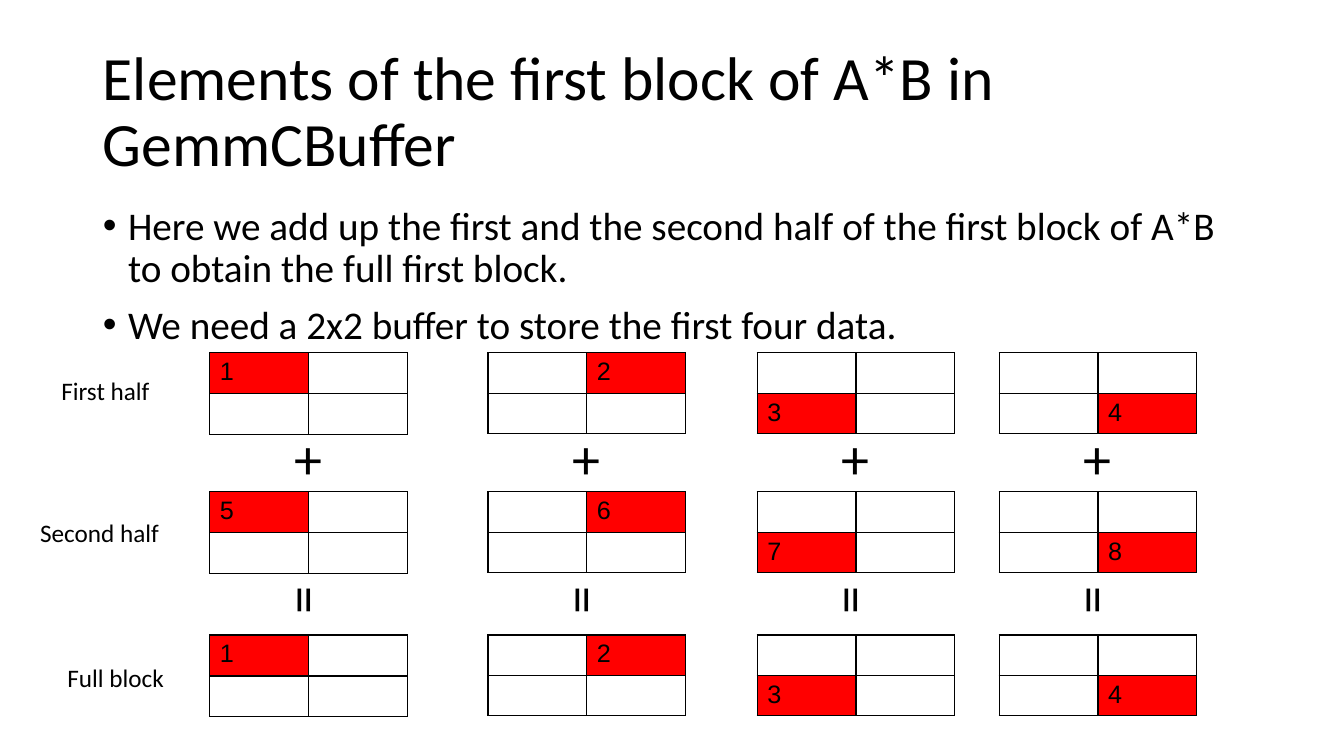
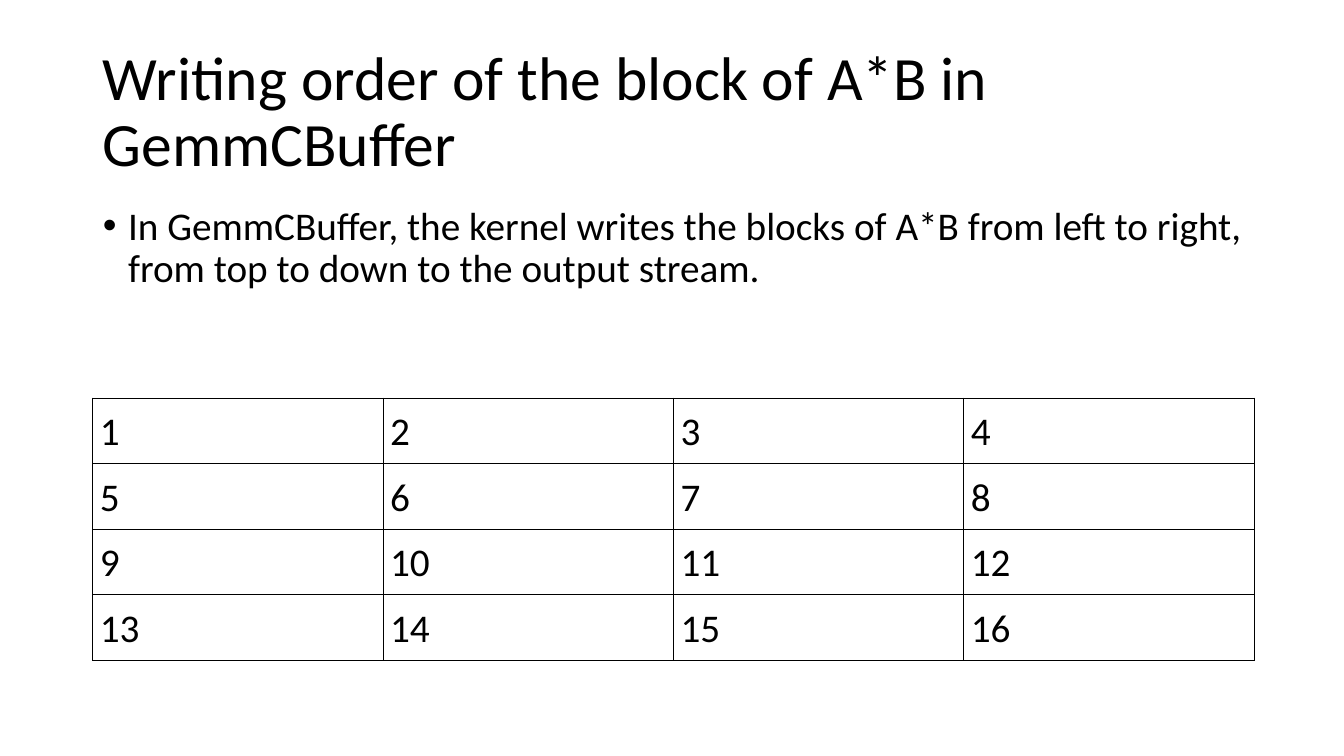
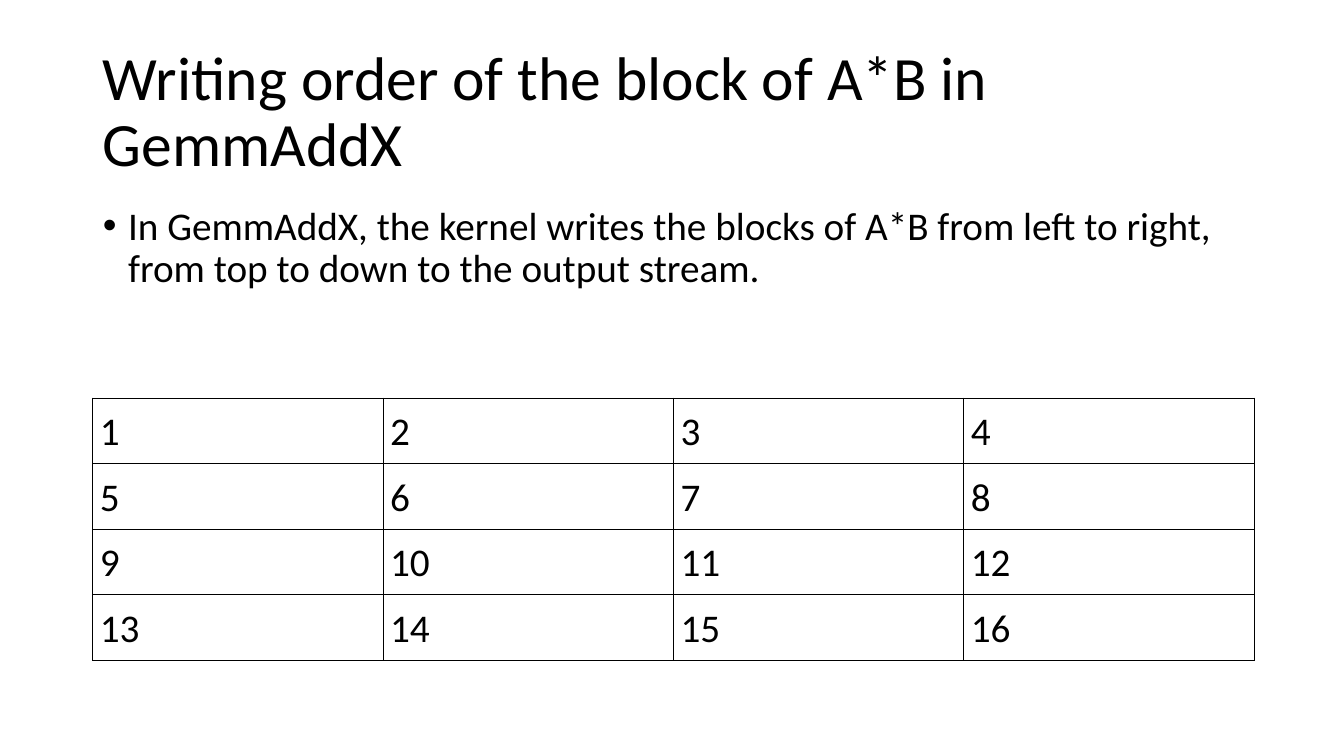
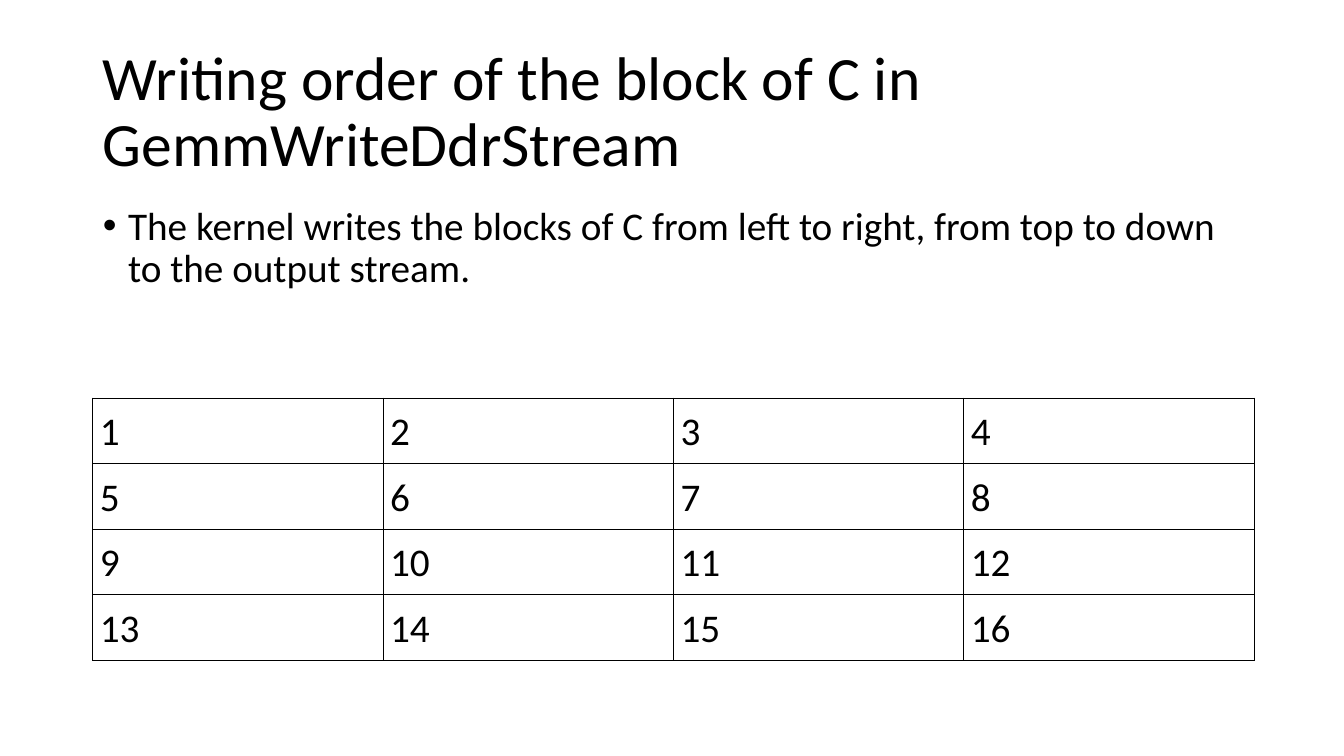
"""Builds four slides on how matrix blocks are buffered and written."""
from lxml import etree
from pptx import Presentation
from pptx.dml import color
from pptx.enum import text
from pptx.oxml import ns
from pptx.util import Inches, Pt

BLACK, RED = "000000", "FF0000"
BODY_FONT, BUFFER_FONT = "Calibri", "Arial"

BUFFER_TITLE = "Elements of the first block of A*B in GemmCBuffer"
BUFFER_POINTS = [
    "Here we add up the first and the second half of the first block of A*B to obtain the full first block.",
    "We need a 2x2 buffer to store the first four data.",
]
BUFFER_LEFTS = [2.08, 4.84, 7.51, 9.91]
BUFFER_STAGES = [
    (3.5, [1, 2, 3, 4]),
    (4.88, [5, 6, 7, 8]),
    (6.3, [1, 2, 3, 4]),
]
STAGE_LABELS = [
    ("First half", 0.51, 3.67, 1.23),
    ("Second half", 0.3, 5.08, 1.49),
    ("Full block", 0.57, 6.52, 1.23),
]
OPERATORS = [("+", 0.74, 4.15, 1.51, 0), ("=", 0.48, 5.84, 1, 90)]

WRITING_ORDERS = [
    ("Writing order of the block of A*B in GemmCBuffer",
     "In GemmCBuffer, the kernel writes the blocks of A*B from left to right, from top to down to the output stream."),
    ("Writing order of the block of A*B in GemmAddX",
     "In GemmAddX, the kernel writes the blocks of A*B from left to right, from top to down to the output stream."),
    ("Writing order of the block of C in GemmWriteDdrStream",
     "The kernel writes the blocks of C from left to right, from top to down to the output stream."),
]
ORDER_ROWS = [[row * 4 + col + 1 for col in range(4)] for row in range(4)]


def rgb(value):
    return color.RGBColor.from_string(value)


def write(paragraph, words, size, font=BODY_FONT):
    run = paragraph.add_run()
    run.text = words
    run.font.size, run.font.name = Pt(size), font
    run.font.color.rgb = rgb(BLACK)


def place(shape, left, top, width, height):
    shape.left, shape.top = Inches(left), Inches(top)
    shape.width, shape.height = Inches(width), Inches(height)


def add_content_slide(prs, heading, points):
    slide = prs.slides.add_slide(prs.slide_layouts[1])
    title, body = slide.placeholders
    place(title, 0.92, 0.4, 11.5, 1.45)
    place(body, 0.92, 2, 11.5, 4.76)
    for holder in (title, body):
        holder.text_frame.auto_size = text.MSO_AUTO_SIZE.NONE
    title.text_frame.vertical_anchor = text.MSO_ANCHOR.MIDDLE
    title_line = title.text_frame.paragraphs[0]
    title_line.alignment = text.PP_ALIGN.LEFT
    title_line.line_spacing = 0.9
    write(title_line, heading, 44)
    for index, point in enumerate(points):
        item = body.text_frame.add_paragraph() if index else body.text_frame.paragraphs[0]
        item.line_spacing = 0.9
        item.space_before = Pt(10 if index else 0)
        properties = item._p.get_or_add_pPr()
        properties.set("marL", str(Inches(0.25)))
        properties.set("indent", str(Inches(-0.25)))
        write(item, point, 28)
    return slide


def add_borders(cell):
    properties = cell._tc.get_or_add_tcPr()
    for side in ("lnL", "lnR", "lnT", "lnB"):
        line = etree.SubElement(properties, ns.qn("a:" + side), w=str(Pt(1)))
        fill = etree.SubElement(line, ns.qn("a:solidFill"))
        etree.SubElement(fill, ns.qn("a:srgbClr"), val=BLACK)


def add_grid(slide, left, top, rows, col_width, row_height, size, font, inset=None, spacing=None, marked=None):
    count = len(rows[0])
    grid = slide.shapes.add_table(len(rows), count, Inches(left), Inches(top),
                                  Inches(col_width * count), Inches(row_height * len(rows))).table
    grid.first_row = grid.horz_banding = False
    for column in grid.columns:
        column.width = Inches(col_width)
    for row, values in zip(grid.rows, rows):
        row.height = Inches(row_height)
        for cell, value in zip(row.cells, values):
            add_borders(cell)
            if value and marked:
                cell.fill.solid()
                cell.fill.fore_color.rgb = rgb(marked)
            else:
                cell.fill.background()
            if inset:
                cell.margin_left = cell.margin_right = Inches(inset)
                cell.margin_top = cell.margin_bottom = Inches(inset)
            if value:
                entry = cell.text_frame.paragraphs[0]
                entry.line_spacing = spacing
                write(entry, str(value), size, font)


def add_label(slide, words, left, top, width, height, size, rotation=0):
    label = slide.shapes.add_textbox(Inches(left), Inches(top), Inches(width), Inches(height))
    label.rotation = rotation
    label.text_frame.word_wrap = True
    write(label.text_frame.paragraphs[0], words, size)


def add_buffer_slide(prs):
    slide = add_content_slide(prs, BUFFER_TITLE, BUFFER_POINTS)
    for position, left in enumerate(BUFFER_LEFTS):
        for top, values in BUFFER_STAGES:
            cells = [values[position] if slot == position else None for slot in range(4)]
            add_grid(slide, left, top, [cells[:2], cells[2:]], 0.98, 0.4, 18, BUFFER_FONT, marked=RED)
        for sign, offset, top, width, rotation in OPERATORS:
            add_label(slide, sign, left + offset, top, width, 0.77, 40, rotation)
    for words, left, top, width in STAGE_LABELS:
        add_label(slide, words, left, top, width, 0.4, 18)


def main():
    prs = Presentation()
    prs.slide_width, prs.slide_height = Inches(13.33), Inches(7.5)
    add_buffer_slide(prs)
    for heading, point in WRITING_ORDERS:
        slide = add_content_slide(prs, heading, [point])
        add_grid(slide, 0.92, 3.95, ORDER_ROWS, 2.88, 0.65, 28, BODY_FONT, inset=0.07, spacing=1.07)
    prs.save("out.pptx")


if __name__ == "__main__":
    main()
